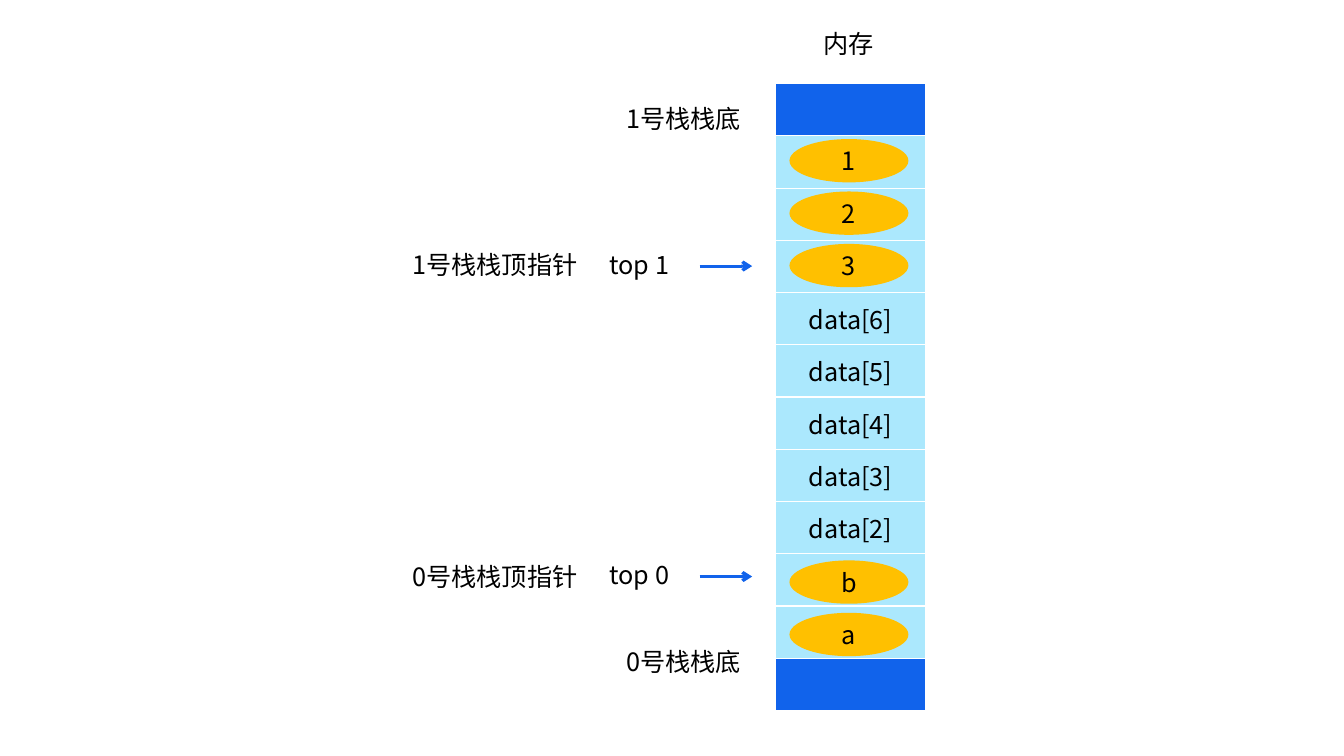
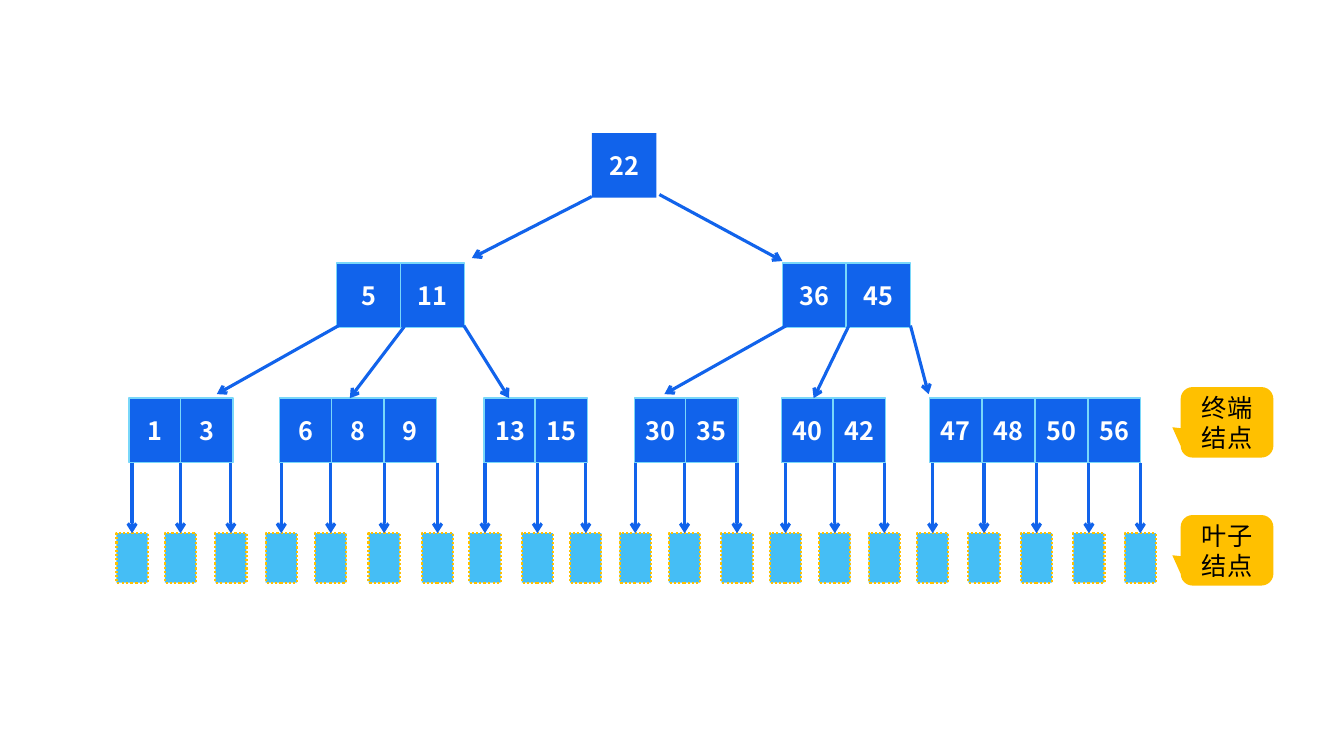
from dataclasses import dataclass

from pptx import Presentation
from pptx import util as u
from pptx.dml.color import RGBColor
from pptx.enum import dml, shapes, text
from pptx.oxml.ns import qn


@dataclass(frozen=True)
class Theme:
    font: str = "Noto Sans CJK SC"
    size: int = 18
    blue: str = "1163EB"
    pale: str = "ABE8FD"
    sky: str = "45BEF5"
    edge: str = "79D7F9"
    gold: str = "FFC000"
    black: str = "000000"
    white: str = "FFFFFF"
    arrow_width: float = 2.25


theme = Theme()
GRID = u.Inches(0.1)  # every length below counts columns or rows of this grid
shape_kind = shapes.MSO_SHAPE


def write(frame, words, color=theme.black, bold=False):
    """Put one centred run into a text frame."""
    para = frame.paragraphs[0]
    para.alignment = text.PP_ALIGN.CENTER
    span = para.add_run()
    span.text = words
    span.font.name = theme.font
    span.font.size = u.Pt(theme.size)
    span.font.bold = bold
    span.font.color.rgb = RGBColor.from_string(color)
    east_asian = span.font._element.makeelement(qn("a:ea"), {"typeface": theme.font})
    span.font._element.append(east_asian)


def draw(page, kind, at, fill, edge=None, width=1):
    """Add a flat preset shape placed in grid units."""
    box = page.shapes.add_shape(kind, *(round(n * GRID) for n in at))
    box.shadow.inherit = False
    box.fill.solid()
    box.fill.fore_color.rgb = RGBColor.from_string(fill)
    if edge:
        box.line.color.rgb = RGBColor.from_string(edge)
        box.line.width = u.Pt(width)
    else:
        box.line.fill.background()
    box.text_frame.vertical_anchor = text.MSO_ANCHOR.MIDDLE
    return box


deck = Presentation()
deck.slide_width, deck.slide_height = u.Inches(13.33), u.Inches(7.5)
blank = deck.slide_layouts[6]
stack_page, tree_page = deck.slides.add_slide(blank), deck.slides.add_slide(blank)
arrows = []  # page, start, end, box joined at its top

# Memory column: the default table style supplies the white rules
cells = ["", "", "", "", "data[6]", "data[5]", "data[4]", "data[3]", "data[2]", "", "", ""]
memory = stack_page.shapes.add_table(
    len(cells), 1, *(round(n * GRID) for n in (76.9, 8.3, 14.9, 62.2))).table
memory.horz_banding = False
for row, words in enumerate(cells):
    cell = memory.cell(row, 0)
    cell.vertical_anchor = text.MSO_ANCHOR.MIDDLE
    cell.fill.solid()
    is_end = row in (0, len(cells) - 1)
    cell.fill.fore_color.rgb = RGBColor.from_string(theme.blue if is_end else theme.pale)
    if words:
        write(cell.text_frame, words)

# Items on both stacks
for top, items in ((13.8, "123"), (55.6, "ba")):
    for step, item in enumerate(items):
        at = (78.3, top + 5.2 * step, 11.8, 4.3)
        oval = draw(stack_page, shape_kind.OVAL, at, theme.gold)
        write(oval.text_frame, item)

# Labels: left, top, width, words, whether the words wrap
labels = [
    (80.7, 2.3, 7, "内存", False),
    (61, 9.8, 13.6, "1号栈栈底", True),
    (61, 63.6, 13.6, "0号栈栈底", True),
    (59.3, 24.2, 8.2, "top 1", False),
    (59.3, 55, 8.2, "top 0", False),
    (39.8, 24.2, 18.6, "1号栈栈顶指针", True),
    (39.8, 55.2, 18.6, "0号栈栈顶指针", True),
]
for left, top, width, words, wraps in labels:
    label = stack_page.shapes.add_textbox(*(round(n * GRID) for n in (left, top, width, 4)))
    label.text_frame.word_wrap = wraps
    write(label.text_frame, words)

# Stack pointers
for row in (26.4, 57.2):
    arrows.append((stack_page, (69.4, row), (74.6, row), None))

# Tree nodes: left, top, key width, step between keys, keys, edge
KEY_HEIGHT, TERMINAL_TOP, LEAF_TOP = 6.4, 39.5, 52.9
nodes = [
    (58.7, 13.2, 6.4, 6.4, [22], None),
    (33.4, 26.1, 6.4, 6.3, [5, 11], theme.edge),
    (77.6, 26.1, 6.4, 6.3, [36, 45], theme.edge),
]
terminals = [
    (12.8, 5.1, [1, 3]),
    (27.7, 5.2, [6, 8, 9]),
    (48, 5.05, [13, 15]),
    (62.9, 5.1, [30, 35]),
    (77.5, 5.1, [40, 42]),
    (92.2, 5.24, [47, 48, 50, 56]),
]
nodes += [(left, TERMINAL_TOP, 5.2, step, keys, theme.edge) for left, step, keys in terminals]
for left, top, width, step, keys, edge in nodes:
    for place, key in enumerate(keys):
        at = (left + step * place, top, width, KEY_HEIGHT)
        box = draw(tree_page, shape_kind.RECTANGLE, at, theme.blue, edge)
        write(box.text_frame, str(key), theme.white, bold=True)

# Branches from parents to children
branches = [
    ((58.7, 19.5), (46.8, 25.6)),
    ((65.4, 19.3), (77.6, 25.9)),
    ((33.6, 32.3), (21.5, 39.1)),
    ((40.1, 32.4), (34.7, 39.5)),
    ((46, 32.3), (50.5, 39.5)),
    ((78, 32.3), (65.9, 39.1)),
    ((84.2, 32.3), (80.7, 39.5)),
    ((90.3, 32.3), (92.1, 39.1)),
]
arrows += [(tree_page, start, end, None) for start, end in branches]

# Leaves, by the column of their centre, each hung below a terminal node
leaf_columns = [
    13.1, 17.9, 22.9, 27.9, 32.8, 38.1, 43.4, 48.1, 53.3, 58.1, 63,
    67.9, 73.1, 77.9, 82.8, 87.7, 92.5, 97.6, 102.8, 108, 113.1,
]
for column in leaf_columns:
    at = (column - 1.55, LEAF_TOP, 3.1, 4.9)
    leaf = draw(tree_page, shape_kind.RECTANGLE, at, theme.sky, theme.gold, 1.5)
    leaf.line.dash_style = dml.MSO_LINE_DASH_STYLE.ROUND_DOT
    start = (column, TERMINAL_TOP + KEY_HEIGHT)
    arrows.append((tree_page, start, (column, LEAF_TOP), leaf))

# Callouts naming the two lowest levels
for top, words in ((38.4, "终端结点"), (51.1, "叶子结点")):
    at = (117.1, top, 9.2, 7)
    callout = draw(tree_page, shape_kind.ROUNDED_RECTANGULAR_CALLOUT, at, theme.gold)
    for index, value in enumerate((-0.59, 0.07, 0.17)):
        callout.adjustments[index] = value
    write(callout.text_frame, words)

# All arrows
for page, start, end, target in arrows:
    line = page.shapes.add_connector(
        shapes.MSO_CONNECTOR.STRAIGHT, *(round(n * GRID) for n in start + end))
    if target is not None:
        line.end_connect(target, 0)
    line.line.color.rgb = RGBColor.from_string(theme.blue)
    line.line.width = u.Pt(theme.arrow_width)
    properties = line._element.spPr
    stroke = properties.find(qn("a:ln"))
    stroke.append(stroke.makeelement(qn("a:tailEnd"), {"type": "arrow"}))
    properties.append(properties.makeelement(qn("a:effectLst"), {}))

deck.save("out.pptx")
